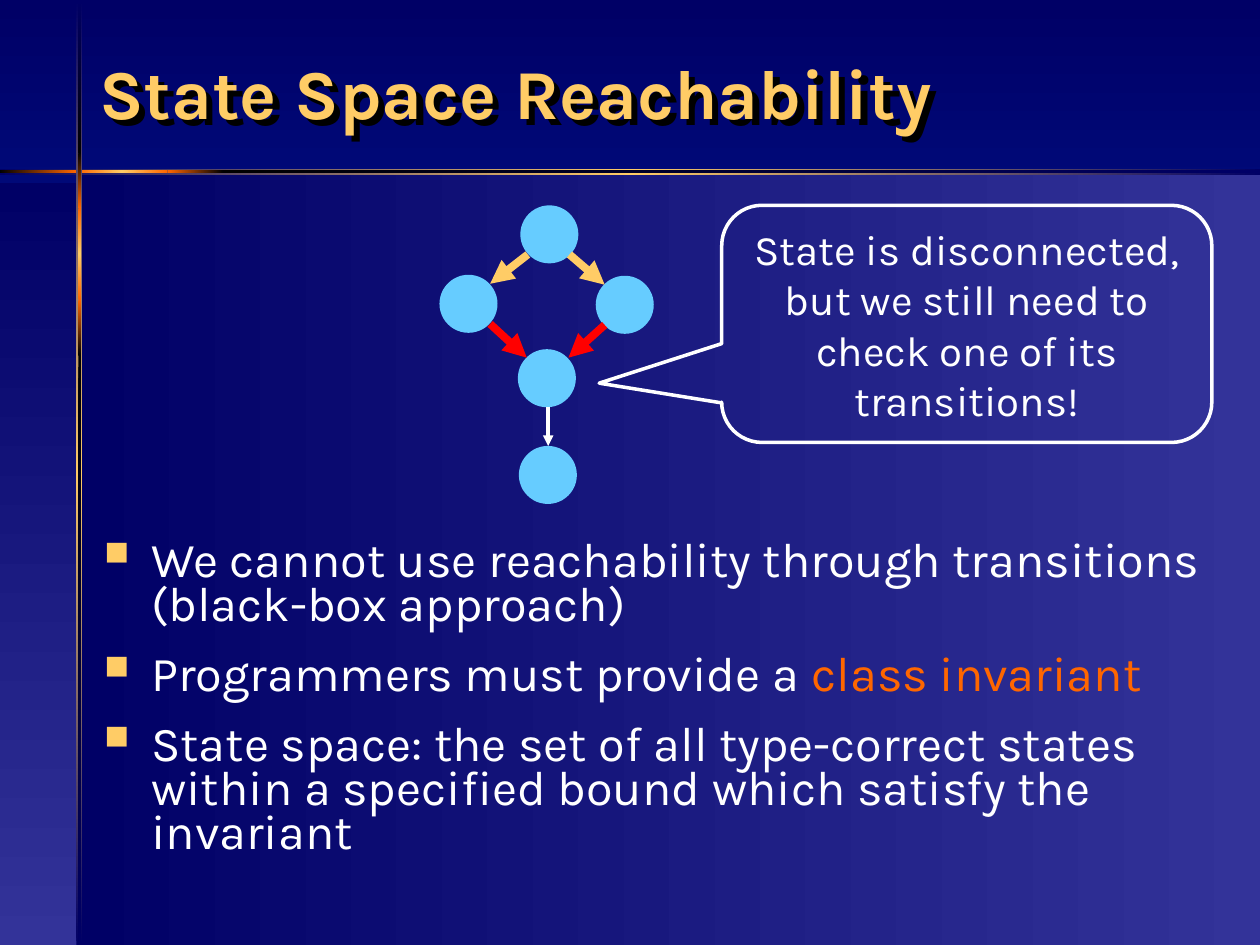
"""Builds the slide on state space reachability."""
from copy import deepcopy
from typing import NamedTuple

from lxml import etree
from pptx import Presentation
from pptx.dml.color import RGBColor
from pptx.enum.shapes import MSO_CONNECTOR, MSO_SHAPE
from pptx.enum.text import MSO_ANCHOR, PP_ALIGN
from pptx.oxml.ns import qn
from pptx.util import Cm, Pt

STRAIGHT = MSO_CONNECTOR.STRAIGHT
RECTANGLE, OVAL = MSO_SHAPE.RECTANGLE, MSO_SHAPE.OVAL
CALLOUT = MSO_SHAPE.ROUNDED_RECTANGULAR_CALLOUT
TOP, MIDDLE = MSO_ANCHOR.TOP, MSO_ANCHOR.MIDDLE
LEFT, CENTER = PP_ALIGN.LEFT, PP_ALIGN.CENTER

WIDTH, HEIGHT = 25.4, 19.05
FONT = "Karla"
WHITE, BLACK, NAVY, INDIGO = "FFFFFF", "000000", "000066", "333399"
GOLD, ORANGE, RED, SKY = "FFCC66", "FF6600", "FF0000", "66CCFF"
ACROSS, DOWN = 0, 270
STATE_SIZE = 1.17


class Band(NamedTuple):
    left: float
    top: float
    width: float
    height: float
    colours: tuple[str, ...]
    angle: int


class Transition(NamedTuple):
    start: tuple[float, float]
    end: tuple[float, float]
    colour: str
    weight: float


GLOW = [(NAVY, BLACK), (BLACK, ORANGE), (ORANGE, GOLD, ORANGE), (ORANGE, BLACK), (BLACK, NAVY)]
ACROSS_STOPS = [0, 1.55, 3.38, 4.5, WIDTH]
DOWN_STOPS = [0.03, 3.08, 4.19, 6.05, 7.16, HEIGHT]
BANDS = [
    Band(1.58, 3.45, WIDTH - 1.58, HEIGHT - 3.45, (NAVY, INDIGO), ACROSS),
    Band(0, 3.68, 1.58, HEIGHT - 3.68, (NAVY, INDIGO), DOWN),
    Band(0, 3.4, WIDTH, 0.12, (NAVY, GOLD, NAVY), ACROSS),
    *(Band(a, 3.43, b - a, 0.05, colours, ACROSS)
      for a, b, colours in zip(ACROSS_STOPS, ACROSS_STOPS[1:], GLOW[1:])),
    Band(1.54, 0, 0.12, HEIGHT, (NAVY, GOLD, NAVY), DOWN),
    *(Band(1.58, a, 0.05, b - a, colours, DOWN)
      for a, b, colours in zip(DOWN_STOPS, DOWN_STOPS[1:], GLOW)),
]
STATES = [(10.49, 4.14), (10.44, 7.04), (8.86, 5.54), (12.01, 5.56), (10.46, 8.99)]
TRANSITIONS = [
    Transition((11.05, 8.2), (11.05, 8.99), WHITE, 2),
    Transition((10.64, 5.13), (9.88, 5.72), GOLD, 4.5),
    Transition((11.48, 5.13), (12.19, 5.74), GOLD, 4.5),
    Transition((9.88, 6.53), (10.62, 7.21), RED, 4.5),
    Transition((12.19, 6.55), (11.46, 7.21), RED, 4.5),
]
POINTS = [
    [("We cannot use reachability through transitions (black-box approach)", WHITE)],
    [("Programmers must provide a ", WHITE), ("class invariant", ORANGE)],
    [("State space: the set of all type-correct states within a specified bound "
      "which satisfy the invariant", WHITE)],
]


def rgb(colour: str) -> RGBColor:
    """Turn a hex string into a colour."""
    return RGBColor.from_string(colour)


def add_xml(parent, tag: str, **attributes):
    """Append a child element with the given attributes."""
    return etree.SubElement(parent, qn(tag), attributes)


def paint_gradient(fill, owner, colours: tuple[str, ...], angle: int) -> None:
    """Fill with evenly spaced gradient stops."""
    fill.gradient()
    fill.gradient_angle = angle
    stops = next(owner.iter(qn("a:gsLst")))
    for _ in colours[2:]:
        stops.append(deepcopy(stops[0]))
    for index, (stop, colour) in enumerate(zip(fill.gradient_stops, colours)):
        stop.position = index / (len(colours) - 1)
        stop.color.rgb = rgb(colour)


def draw_band(slide, band: Band) -> None:
    """Draw one gradient rectangle of the backdrop."""
    panel = slide.shapes.add_shape(RECTANGLE, *map(Cm, band[:4]))
    panel.shadow.inherit = False
    panel.line.fill.background()
    paint_gradient(panel.fill, panel._element, band.colours, band.angle)


def draw_state(slide, left: float, top: float) -> None:
    """Draw one state of the graph."""
    state = slide.shapes.add_shape(OVAL, Cm(left), Cm(top), Cm(STATE_SIZE), Cm(STATE_SIZE))
    state.shadow.inherit = False
    state.fill.solid()
    state.fill.fore_color.rgb = rgb(SKY)
    state.line.fill.background()


def draw_transition(slide, transition: Transition) -> None:
    """Draw one arrow between two states."""
    arrow = slide.shapes.add_connector(STRAIGHT, *map(Cm, transition.start + transition.end))
    arrow.line.color.rgb = rgb(transition.colour)
    arrow.line.width = Pt(transition.weight)
    add_xml(arrow.line._get_or_add_ln(), "a:tailEnd", type="triangle")
    add_xml(arrow._element.spPr, "a:effectLst")


def add_bullet(paragraph) -> None:
    """Give a paragraph a hanging gold square bullet."""
    properties = paragraph._p.get_or_add_pPr()
    properties.set("marL", str(Cm(0.95)))
    properties.set("indent", str(-Cm(0.95)))
    add_xml(add_xml(properties, "a:buClr"), "a:srgbClr", val=GOLD)
    add_xml(properties, "a:buSzPct", val="70000")
    add_xml(properties, "a:buChar", char="■")


def write(shape, paragraphs: list[list[tuple[str, str]]], *, size: float, bold: bool = False,
          align=LEFT, anchor=TOP, spacing: float = 1.0, before: float = 0,
          bullets: bool = False) -> None:
    """Write paragraphs of coloured runs into a shape."""
    frame = shape.text_frame
    frame.word_wrap = True
    frame.vertical_anchor = anchor
    for index, runs in enumerate(paragraphs):
        paragraph = frame.add_paragraph() if index else frame.paragraphs[0]
        paragraph.alignment = align
        paragraph.line_spacing = spacing
        paragraph.space_before = Pt(before)
        if bullets:
            add_bullet(paragraph)
        for words, colour in runs:
            run = paragraph.add_run()
            run.text = words
            run.font.name = FONT
            run.font.size = Pt(size)
            run.font.bold = bold
            run.font.color.rgb = rgb(colour)


def draw_title(slide) -> None:
    """Draw the title with its black drop shadow."""
    title = slide.shapes.add_textbox(Cm(1.75), Cm(0.56), Cm(23.04), Cm(2.77))
    write(title, [[("State Space Reachability", GOLD)]], size=40, bold=True,
          anchor=MIDDLE, spacing=0.9)
    effects = add_xml(title._element.spPr, "a:effectLst")
    shadow = add_xml(effects, "a:outerShdw", dist=str(Cm(0.18)), dir="2700000")
    add_xml(shadow, "a:srgbClr", val=BLACK)


def draw_callout(slide) -> None:
    """Draw the remark that points at the disconnected state."""
    callout = slide.shapes.add_shape(CALLOUT, Cm(14.55), Cm(4.14), Cm(9.88), Cm(4.78))
    callout.shadow.inherit = False
    for index, value in enumerate((-0.75, 0.25, 0.17)):
        callout.adjustments[index] = value
    callout.fill.background()
    callout.line.color.rgb = rgb(WHITE)
    callout.line.width = Pt(2)
    remark = "State is disconnected, but we still need to check one of its transitions!"
    write(callout, [[(remark, WHITE)]], size=24, align=CENTER)


def main() -> None:
    """Build and save the slide."""
    deck = Presentation()
    deck.slide_width, deck.slide_height = Cm(WIDTH), Cm(HEIGHT)
    slide = deck.slides.add_slide(deck.slide_layouts[6])
    paint_gradient(slide.background.fill, slide._element, (NAVY, "0033CC"), DOWN)
    for band in BANDS:
        draw_band(slide, band)
    draw_title(slide)
    points = slide.shapes.add_textbox(Cm(1.85), Cm(10.82), Cm(23.04), Cm(7.72))
    write(points, POINTS, size=27.8, spacing=0.75, before=15, bullets=True)
    draw_callout(slide)
    for left, top in STATES:
        draw_state(slide, left, top)
    for transition in TRANSITIONS:
        draw_transition(slide, transition)
    deck.save("out.pptx")


if __name__ == "__main__":
    main()
